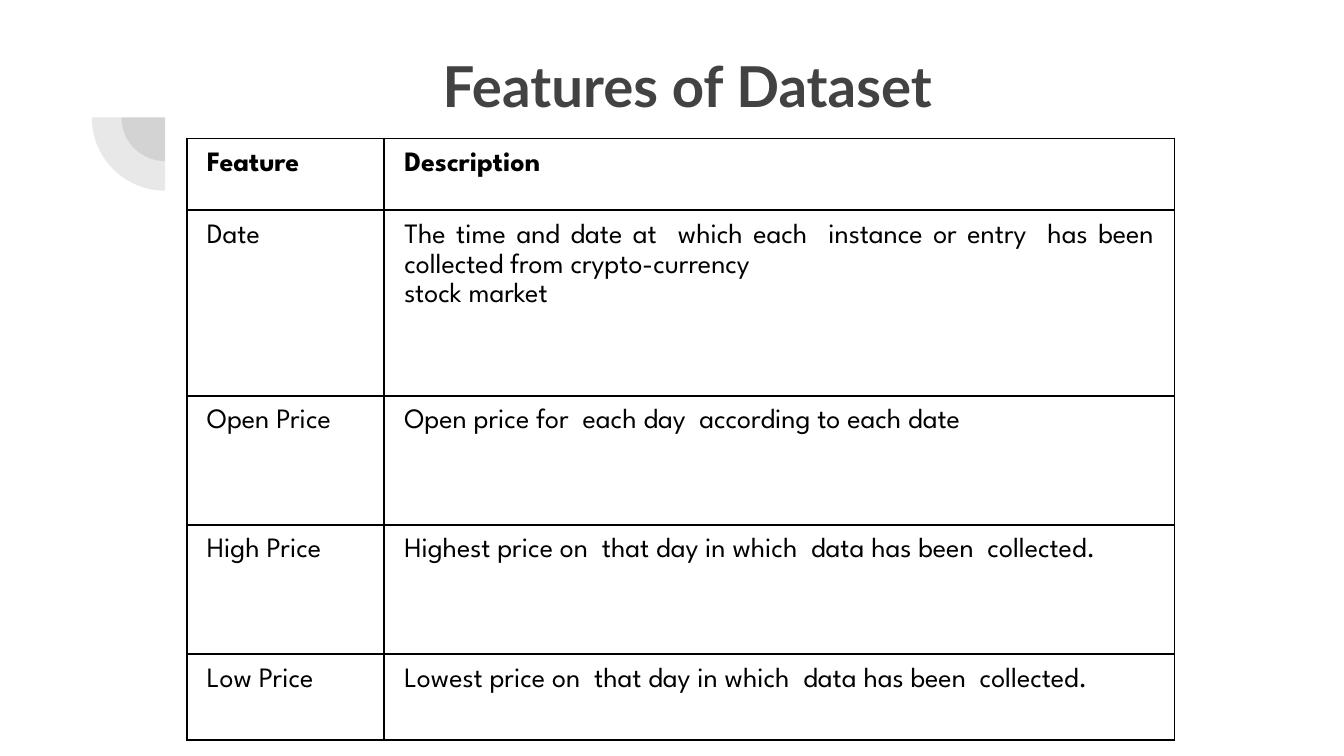
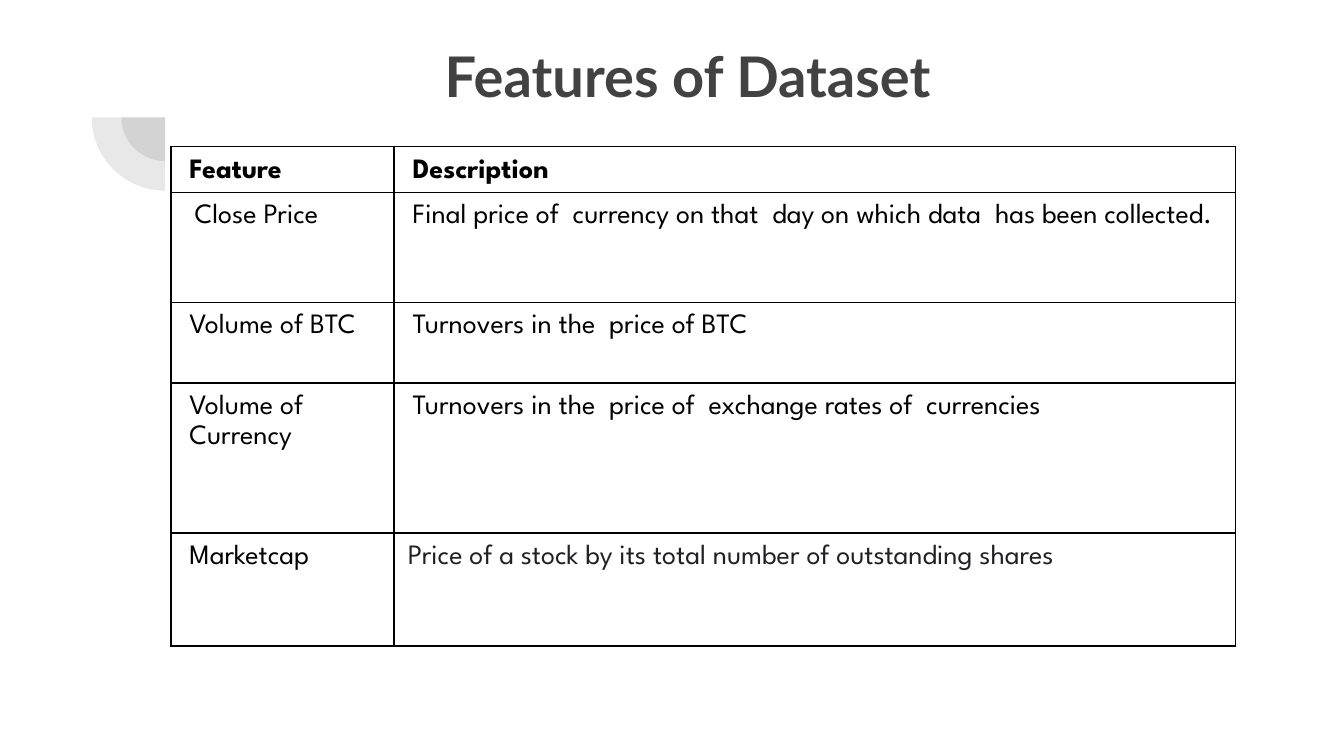
from dataclasses import dataclass

from lxml.etree import SubElement
from pptx import Presentation
from pptx.dml.color import RGBColor
from pptx.enum.shapes import MSO_SHAPE
from pptx.enum.text import MSO_ANCHOR, MSO_AUTO_SIZE, PP_ALIGN
from pptx.oxml.ns import qn
from pptx.slide import Slide
from pptx.table import _Cell
from pptx.text.text import _Paragraph
from pptx.util import Cm, Pt


@dataclass(frozen=True)
class Theme:
    heading: RGBColor = RGBColor(0x42, 0x42, 0x42)
    text: RGBColor = RGBColor(0, 0, 0)
    soft_text: RGBColor = RGBColor(0x20, 0x21, 0x24)
    background: RGBColor = RGBColor(0xFF, 0xFF, 0xFF)
    border: str = "000000"
    border_width: int = Pt(1)
    ornament_alpha: int = 12000
    title_font: str = "Lato"
    table_font: str = "League Spartan"
    table_size: int = Pt(15)
    line_spacing: float = 1.15
    indent: float = 0.2


THEME = Theme()


@dataclass(frozen=True)
class CellText:
    lines: tuple[str, ...]
    indent: float = THEME.indent
    color: RGBColor = THEME.text
    justified: bool = False
    filled: bool = False


@dataclass(frozen=True)
class FeatureRow:
    height: float
    feature: CellText
    description: CellText


@dataclass(frozen=True)
class FeatureSlide:
    title_top: float
    title_height: float
    title_size: float
    left: float
    top: float
    column_widths: tuple[float, float]
    cell_margin: float
    rows: tuple[FeatureRow, ...]


TITLE = "Features of Dataset"
HEADER = (CellText(("Feature",)), CellText(("Description",)))

FEATURE_SLIDES = (
    FeatureSlide(
        title_top=0.71, title_height=1.55, title_size=30.2,
        left=3.53, top=2.62, column_widths=(3.73, 14.94), cell_margin=0.18,
        rows=(
            FeatureRow(1.35, *HEADER),
            FeatureRow(3.51, CellText(("Date",)), CellText((
                "The time and date at  which each  instance or entry  has been  "
                "collected from crypto-currency",
                "stock market"), justified=True)),
            FeatureRow(2.44, CellText(("Open Price",)), CellText(
                ("Open price for  each day  according to each date",), justified=True)),
            FeatureRow(2.44, CellText(("High Price",)), CellText(
                ("Highest price on  that day in which  data has been  collected.",),
                justified=True)),
            FeatureRow(1.63, CellText(("Low Price",)), CellText(
                ("Lowest price on  that day in which  data has been  collected.",),
                justified=True)),
        ),
    ),
    FeatureSlide(
        title_top=0.53, title_height=1.73, title_size=30,
        left=3.23, top=2.77, column_widths=(4.22, 15.9), cell_margin=0.15,
        rows=(
            FeatureRow(0.79, *HEADER),
            FeatureRow(2.08, CellText(("Close Price",), indent=0.3), CellText(
                ("Final price of  currency on that  day on which data  has been collected.",),
                justified=True)),
            FeatureRow(1.52, CellText(("Volume of BTC",)),
                       CellText(("Turnovers in the  price of BTC",))),
            FeatureRow(2.84, CellText(("Volume of  Currency",)), CellText(
                ("Turnovers in the  price of  exchange rates of  currencies",),
                justified=True)),
            FeatureRow(2.13, CellText(("Marketcap",)), CellText(
                ("Price of a stock by its total number of outstanding shares",),
                indent=0.11, color=THEME.soft_text, justified=True, filled=True)),
        ),
    ),
)


def write_text(paragraph: _Paragraph, text: str, *, font: str, size: int,
               color: RGBColor, bold: bool = False,
               alignment: PP_ALIGN = PP_ALIGN.LEFT) -> None:
    paragraph.alignment = alignment
    run = paragraph.add_run()
    run.text = text
    run.font.name = font
    run.font.size = size
    run.font.bold = bold
    run.font.color.rgb = color


def add_ornament(slide: Slide) -> None:
    center_x, center_y = 3.12, 2.22
    group = slide.shapes.add_group_shape()
    for diameter in (1.65, 2.77):
        radius = diameter / 2
        shape = group.shapes.add_shape(
            MSO_SHAPE.PIE, Cm(center_x - radius), Cm(center_y - radius),
            Cm(diameter), Cm(diameter))
        shape.adjustments[0] = 108
        shape.adjustments[1] = 162
        shape.rotation = 270
        shape.shadow.inherit = False
        shape.line.fill.background()
        shape.fill.solid()
        shape.fill.fore_color.rgb = THEME.heading
        color = shape.element.spPr.find(qn("a:solidFill")).find(qn("a:srgbClr"))
        SubElement(color, qn("a:alpha"), val=str(THEME.ornament_alpha))


def format_title(slide: Slide, content: FeatureSlide) -> None:
    title = slide.shapes.title
    title.left, title.top = Cm(3.23), Cm(content.title_top)
    title.width, title.height = Cm(19.53), Cm(content.title_height)
    frame = title.text_frame
    frame.margin_left = frame.margin_right = Cm(0.25)
    frame.margin_top = frame.margin_bottom = Cm(0.25)
    frame.vertical_anchor = MSO_ANCHOR.TOP
    frame.auto_size = MSO_AUTO_SIZE.NONE
    frame.word_wrap = True
    write_text(frame.paragraphs[0], TITLE, font=THEME.title_font,
               size=Pt(content.title_size), color=THEME.heading, bold=True,
               alignment=PP_ALIGN.CENTER)


def add_borders(cell: _Cell) -> None:
    properties = cell._tc.get_or_add_tcPr()
    for side in ("lnL", "lnR", "lnT", "lnB"):
        line = SubElement(properties, qn(f"a:{side}"), w=str(THEME.border_width))
        fill = SubElement(line, qn("a:solidFill"))
        SubElement(fill, qn("a:srgbClr"), val=THEME.border)


def fill_cell(cell: _Cell, content: CellText, *, margin: float, bold: bool) -> None:
    cell.margin_left = cell.margin_right = Cm(margin)
    cell.margin_top = cell.margin_bottom = Cm(margin)
    cell.vertical_anchor = MSO_ANCHOR.TOP
    add_borders(cell)
    if content.filled:
        cell.fill.solid()
        cell.fill.fore_color.rgb = THEME.background
    else:
        cell.fill.background()
    frame = cell.text_frame
    for index, text in enumerate(content.lines):
        paragraph = frame.add_paragraph() if index else frame.paragraphs[0]
        justified = content.justified and index == 0
        write_text(paragraph, text, font=THEME.table_font, size=THEME.table_size,
                   color=content.color, bold=bold,
                   alignment=PP_ALIGN.JUSTIFY if justified else PP_ALIGN.LEFT)
        paragraph.line_spacing = THEME.line_spacing
        properties = paragraph._p.get_or_add_pPr()
        properties.set("marL", str(Cm(content.indent)))
        properties.set("indent", "0")


def add_feature_table(slide: Slide, content: FeatureSlide) -> None:
    table = slide.shapes.add_table(
        len(content.rows), len(content.column_widths),
        Cm(content.left), Cm(content.top), Cm(sum(content.column_widths)),
        Cm(sum(row.height for row in content.rows))).table
    table.first_row = False
    table.horz_banding = False
    for column, width in zip(table.columns, content.column_widths):
        column.width = Cm(width)
    for index, feature_row in enumerate(content.rows):
        row = table.rows[index]
        row.height = Cm(feature_row.height)
        for cell, text in zip(row.cells, (feature_row.feature, feature_row.description)):
            fill_cell(cell, text, margin=content.cell_margin, bold=index == 0)


def main() -> None:
    presentation = Presentation()
    presentation.slide_width = Cm(25.4)
    presentation.slide_height = Cm(14.29)
    for content in FEATURE_SLIDES:
        slide = presentation.slides.add_slide(presentation.slide_layouts[5])
        slide.background.fill.solid()
        slide.background.fill.fore_color.rgb = THEME.background
        add_ornament(slide)
        slide.shapes.element.append(slide.shapes.title.element)
        format_title(slide, content)
        add_feature_table(slide, content)
    presentation.save("out.pptx")


if __name__ == "__main__":
    main()
